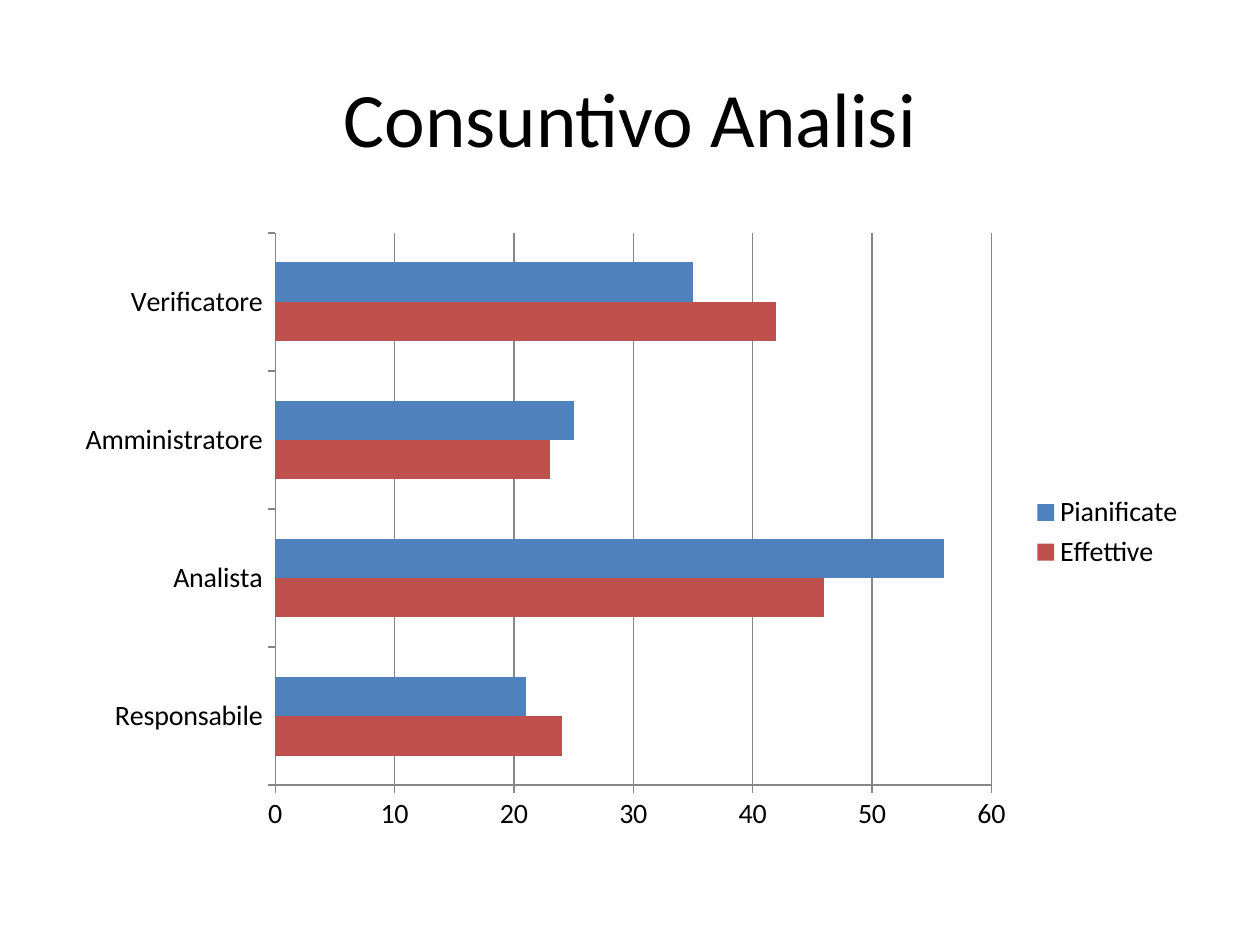
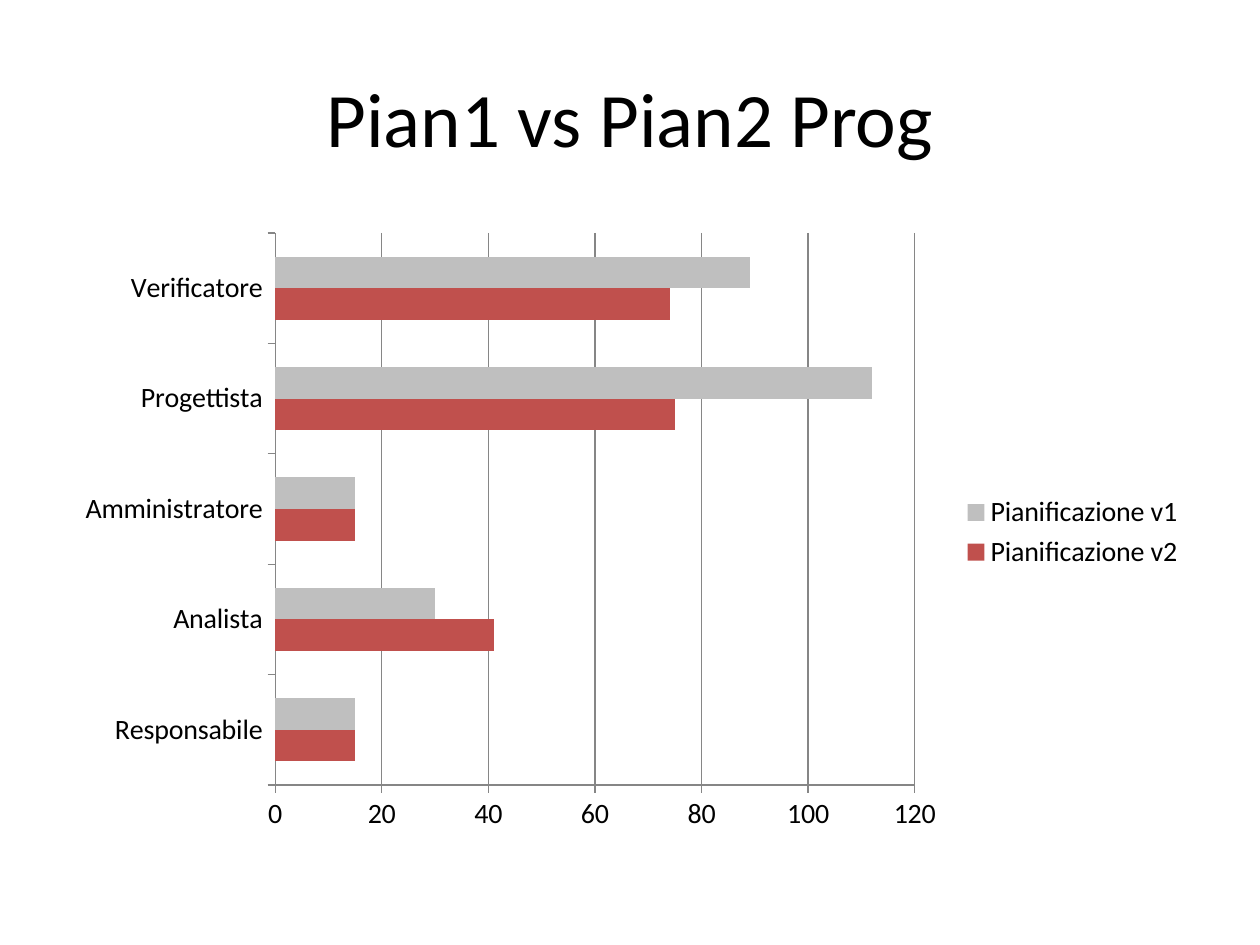
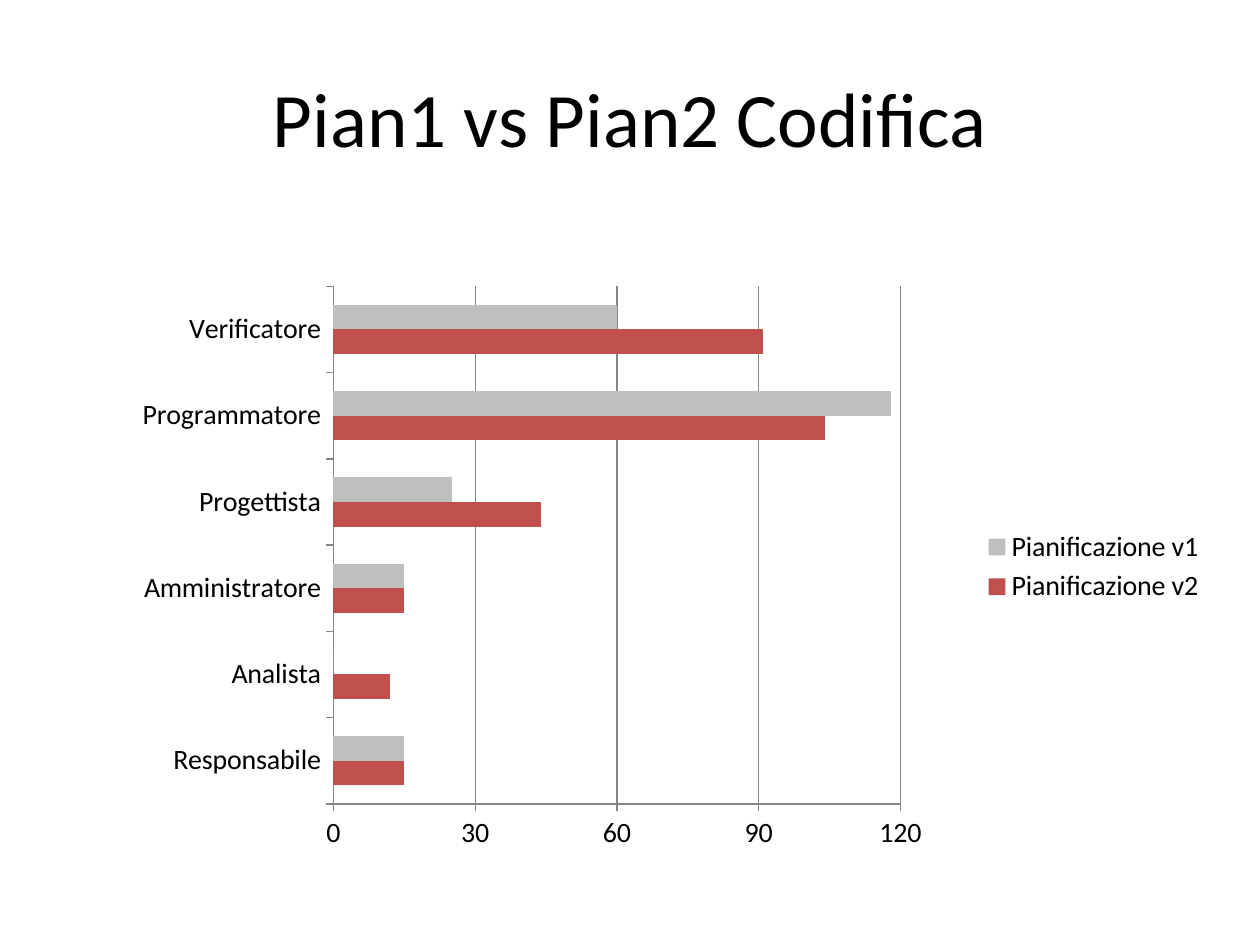
from dataclasses import dataclass
from lxml.etree import SubElement
from pptx import Presentation
from pptx.chart.data import CategoryChartData
from pptx.dml.color import RGBColor
from pptx.enum.chart import XL_CHART_TYPE, XL_LEGEND_POSITION, XL_TICK_MARK
from pptx.enum.text import MSO_ANCHOR, PP_ALIGN
from pptx.oxml.ns import qn
from pptx.util import Inches, Pt

# Shared style
WIDE, HIGH = Inches(10), Inches(7.5)
FONT = "Calibri"
BLACK, WHITE, GREY = "000000", "FFFFFF", "868686"
RED, BLUE, SILVER = "C0504D", "4F81BD", "BFBFBF"


@dataclass(frozen=True)
class Box:
    """A frame given as shares of the slide or chart size."""
    x: float
    y: float
    w: float
    h: float


@dataclass(frozen=True)
class Series:
    name: str
    color: str
    hours: tuple[int, ...]


@dataclass(frozen=True)
class Page:
    title: str
    roles: tuple[str, ...]
    series: tuple[Series, ...]
    frame: Box
    plot: Box | None = None
    top: int | None = None
    step: int | None = None


HEAD = Box(0.05, 0.04, 0.9, 1 / 6)
BODY = Box(0.05, 7 / 30, 0.9, 0.66)
LOW = Box(1 / 15, 0.27, 0.9, 0.66)

# Slide content, with roles listed from the bottom up
BASE = ("Responsabile", "Analista", "Amministratore")
PAGES = (
    Page("Consuntivo Analisi", (*BASE, "Verificatore"),
         (Series("Effettive", RED, (24, 46, 23, 42)),
          Series("Pianificate", BLUE, (21, 56, 25, 35))), BODY),
    Page("Pian1 vs Pian2 Prog", (*BASE, "Progettista", "Verificatore"),
         (Series("Pianificazione v2", RED, (15, 41, 15, 75, 74)),
          Series("Pianificazione v1", SILVER, (15, 30, 15, 112, 89))), BODY),
    Page("Pian1 vs Pian2 Codifica",
         (*BASE, "Progettista", "Programmatore", "Verificatore"),
         (Series("Pianificazione v2", RED, (15, 12, 15, 44, 104, 91)),
          Series("Pianificazione v1", SILVER, (15, 0, 15, 25, 118, 60))),
         LOW, Box(0.22, 0.05, 0.5, 0.83), top=120, step=30),
)


def paint(fill, color: str) -> None:
    fill.solid()
    fill.fore_color.rgb = RGBColor.from_string(color)


def style(font, size: int) -> None:
    font.name, font.size = FONT, Pt(size)
    font.color.rgb = RGBColor.from_string(BLACK)


def rule(line) -> None:
    line.width = Pt(0.75)
    paint(line.fill, GREY)


def place(box: Box) -> tuple[int, int, int, int]:
    return (round(box.x * WIDE), round(box.y * HIGH),
            round(box.w * WIDE), round(box.h * HIGH))


def add_title(slide, text: str) -> None:
    head = slide.shapes.title
    head.left, head.top, head.width, head.height = place(HEAD)
    frame = head.text_frame
    frame.vertical_anchor = MSO_ANCHOR.MIDDLE
    para = frame.paragraphs[0]
    para.alignment = PP_ALIGN.CENTER
    run = para.add_run()
    run.text = text
    style(run.font, 44)


def set_plot(chart, box: Box) -> None:
    """Fix the inner plot area, as shares of the chart."""
    area = chart._chartSpace.chart.plotArea
    for old in area.findall(qn("c:layout")):
        area.remove(old)
    layout = SubElement(area, qn("c:layout"))
    area.insert(0, layout)
    manual = SubElement(layout, qn("c:manualLayout"))
    parts = {"layoutTarget": "inner", "xMode": "edge", "yMode": "edge",
             "x": box.x, "y": box.y, "w": box.w, "h": box.h}
    for tag, value in parts.items():
        SubElement(manual, qn(f"c:{tag}")).set("val", str(value))


def add_bars(slide, page: Page) -> None:
    data = CategoryChartData()
    data.categories = page.roles
    for item in page.series:
        data.add_series(item.name, item.hours)
    chart = slide.shapes.add_chart(
        XL_CHART_TYPE.BAR_CLUSTERED, *place(page.frame), data).chart
    chart.has_title = False
    style(chart.font, 16)

    # Legend
    chart.has_legend = True
    chart.legend.position = XL_LEGEND_POSITION.RIGHT
    chart.legend.include_in_layout = False

    # Bars
    plot = chart.plots[0]
    plot.gap_width, plot.overlap = 150, 0
    plot.vary_by_categories = False
    for bar, item in zip(plot.series, page.series):
        paint(bar.format.fill, item.color)

    # Axes
    for axis in (chart.category_axis, chart.value_axis):
        axis.major_tick_mark = XL_TICK_MARK.OUTSIDE
        axis.minor_tick_mark = XL_TICK_MARK.NONE
        rule(axis.format.line)
    scale = chart.value_axis
    scale.has_major_gridlines = True
    rule(scale.major_gridlines.format.line)
    if page.top:
        scale.maximum_scale, scale.major_unit = page.top, page.step
    if page.plot:
        set_plot(chart, page.plot)


def main() -> None:
    deck = Presentation()
    deck.slide_width, deck.slide_height = WIDE, HIGH
    paint(deck.slide_master.background.fill, WHITE)
    for page in PAGES:
        slide = deck.slides.add_slide(deck.slide_layouts[5])
        add_title(slide, page.title)
        add_bars(slide, page)
    deck.save("out.pptx")


if __name__ == "__main__":
    main()
